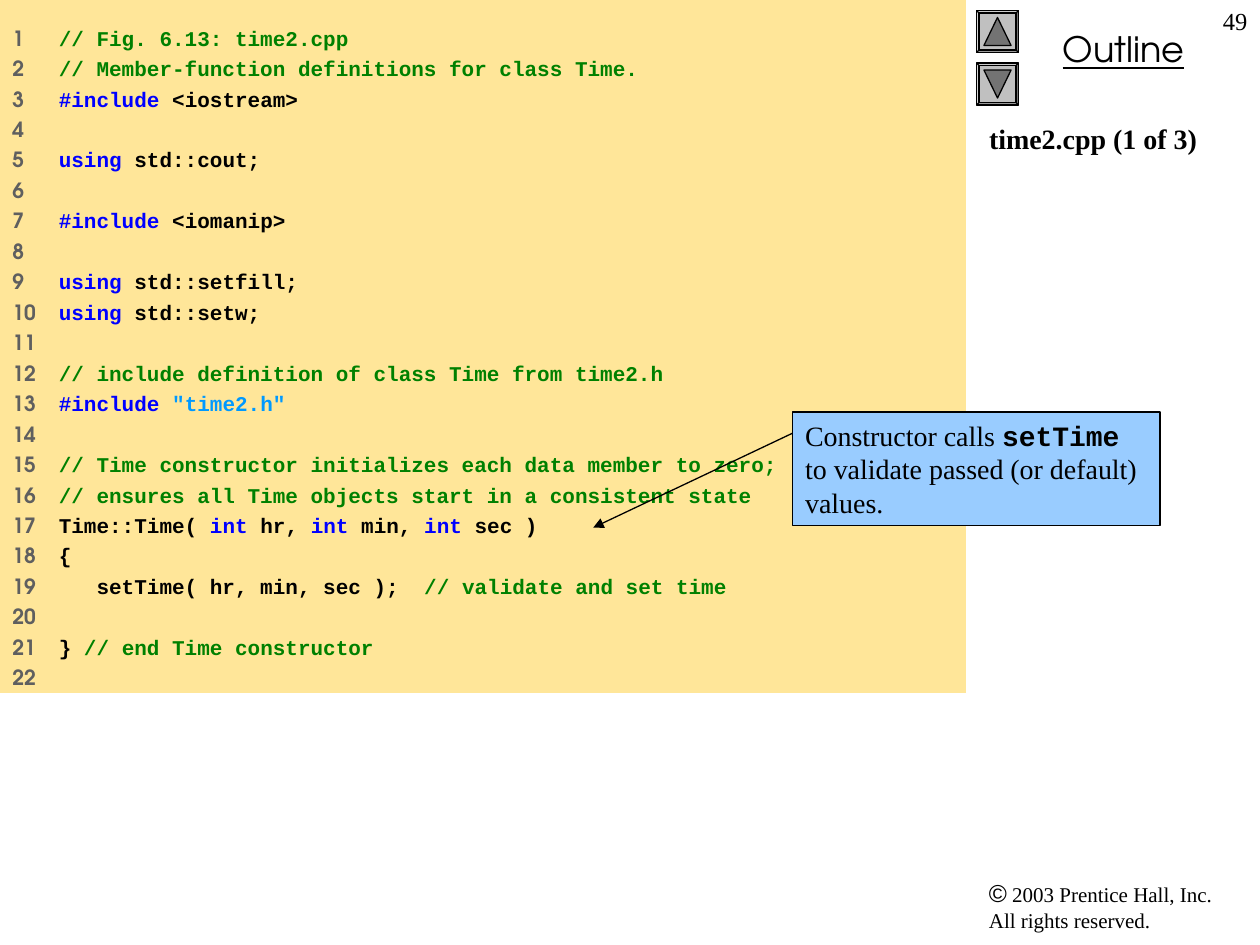
from lxml import etree
from pptx import Presentation
from pptx.dml.color import RGBColor
from pptx.enum.shapes import MSO_CONNECTOR, MSO_SHAPE
from pptx.enum.text import MSO_ANCHOR, MSO_AUTO_SIZE, PP_ALIGN
from pptx.oxml.ns import qn
from pptx.util import Pt

BLACK = RGBColor(0x00, 0x00, 0x00)
GRAY = RGBColor(0x5F, 0x5F, 0x5F)
GREEN = RGBColor(0x00, 0x80, 0x00)
BLUE = RGBColor(0x00, 0x00, 0xFF)
SKY = RGBColor(0x00, 0x99, 0xFF)
CODE_FILL = RGBColor(0xFF, 0xE6, 0x99)
NOTE_FILL = RGBColor(0x99, 0xCC, 0xFF)
BUTTON_FILL = RGBColor(0xC0, 0xC0, 0xC0)
ARROW_FILL = RGBColor(0x73, 0x73, 0x73)
SERIF, SANS, MONO = "Times New Roman", "TeX Gyre Adventor", "Courier New"

CODE = [
    [("// Fig. 6.13: time2.cpp", GREEN)],
    [("// Member-function definitions for class Time.", GREEN)],
    [("#include", BLUE), (" <iostream>", BLACK)],
    [],
    [("using", BLUE), (" std::cout;", BLACK)],
    [],
    [("#include", BLUE), (" <iomanip>", BLACK)],
    [],
    [("using", BLUE), (" std::setfill;", BLACK)],
    [("using", BLUE), (" std::setw;", BLACK)],
    [],
    [("// include definition of class Time from time2.h", GREEN)],
    [("#include ", BLUE), ('"time2.h"', SKY)],
    [],
    [("// Time constructor initializes each data member to zero;", GREEN)],
    [("// ensures all Time objects start in a consistent state", GREEN)],
    [("Time::Time( ", BLACK), ("int", BLUE), (" hr, ", BLACK), ("int", BLUE),
     (" min, ", BLACK), ("int", BLUE), (" sec )", BLACK)],
    [("{", BLACK)],
    [("   setTime( hr, min, sec );  ", BLACK), ("// validate and set time", GREEN)],
    [],
    [("} ", BLACK), ("// end Time constructor", GREEN)],
    [],
]


def add_run(p, text, size, font, color=BLACK, bold=False):
    r = p.add_run()
    r.text = text
    r.font.size = Pt(size)
    r.font.name = font
    r.font.color.rgb = color
    r.font.bold = bold
    return r


def set_frame(sp, align=PP_ALIGN.LEFT, inset=3.6):
    tf = sp.text_frame
    tf.word_wrap = True
    tf.auto_size = MSO_AUTO_SIZE.NONE
    tf.vertical_anchor = MSO_ANCHOR.TOP
    tf.margin_left = tf.margin_right = Pt(7.2)
    tf.margin_top = tf.margin_bottom = Pt(inset)
    tf.paragraphs[0].alignment = align
    return tf


prs = Presentation()
prs.slide_width, prs.slide_height = Pt(720), Pt(540)
s = prs.slides.add_slide(prs.slide_layouts[5])

title = s.shapes.title
title.left, title.top, title.width, title.height = Pt(558), Pt(66), Pt(162), Pt(378)
p = set_frame(title).paragraphs[0]
add_run(p, "time2.cpp (1 of 3)", 16, SERIF, bold=True)

credit = s.shapes.add_textbox(Pt(558), Pt(498), Pt(156), Pt(39))
p = set_frame(credit).paragraphs[0]
add_run(p, "©", 14, "Arial")
add_run(p, " 2003 Prentice Hall, Inc.", 12, SERIF)
p.add_line_break()
add_run(p, "All rights reserved.", 12, SERIF)

outline = s.shapes.add_textbox(Pt(564), Pt(12), Pt(156), Pt(32))
p = set_frame(outline, PP_ALIGN.CENTER).paragraphs[0]
add_run(p, "Outline", 20, SANS).font.underline = True

for top, arrow_top, rotation in ((6, 10, 0), (36, 40, 180)):
    button = s.shapes.add_shape(MSO_SHAPE.BEVEL, Pt(558), Pt(top), Pt(24), Pt(24))
    button.adjustments[0] = 0.06
    arrow = s.shapes.add_shape(MSO_SHAPE.ISOSCELES_TRIANGLE, Pt(562.25), Pt(arrow_top), Pt(15.5), Pt(16))
    arrow.rotation = rotation
    for sp, color in ((button, BUTTON_FILL), (arrow, ARROW_FILL)):
        sp.shadow.inherit = False
        sp.fill.solid()
        sp.fill.fore_color.rgb = color
        sp.line.color.rgb = BLACK
        sp.line.width = Pt(0.75)

listing = s.shapes.add_shape(MSO_SHAPE.RECTANGLE, 0, 0, Pt(552), Pt(396))
listing.shadow.inherit = False
listing.fill.solid()
listing.fill.fore_color.rgb = CODE_FILL
listing.line.fill.background()
tf = set_frame(listing, inset=14.4)
for number, parts in enumerate(CODE, 1):
    p = tf.paragraphs[0] if number == 1 else tf.add_paragraph()
    p.alignment = PP_ALIGN.LEFT
    if number > 1:
        p.space_before = Pt(3)
    tabs = etree.SubElement(p._p.get_or_add_pPr(), qn("a:tabLst"))
    etree.SubElement(tabs, qn("a:tab"), pos=str(Pt(26.5)), algn="l")
    add_run(p, f"{number}\t" if parts else str(number), 12, SANS, GRAY, True)
    for text, color in parts:
        add_run(p, text, 12, MONO, color, True)

note = s.shapes.add_shape(MSO_SHAPE.RECTANGLE, Pt(453), Pt(235.5), Pt(210), Pt(65))
note.shadow.inherit = False
note.fill.solid()
note.fill.fore_color.rgb = NOTE_FILL
note.line.color.rgb = BLACK
note.line.width = Pt(0.75)
p = set_frame(note).paragraphs[0]
add_run(p, "Constructor calls ", 16, SERIF)
add_run(p, "setTime ", 16, MONO, bold=True)
add_run(p, "to validate passed (or default) values.", 16, SERIF)

pointer = s.shapes.add_connector(MSO_CONNECTOR.STRAIGHT, Pt(453), Pt(247.5), Pt(339), Pt(301.5))
pointer.line.color.rgb = BLACK
pointer.line.width = Pt(0.75)
etree.SubElement(pointer.line._get_or_add_ln(), qn("a:tailEnd"), type="triangle")
etree.SubElement(pointer._element.spPr, qn("a:effectLst"))

page = s.shapes.add_textbox(Pt(684), 0, Pt(36), Pt(36))
p = set_frame(page, PP_ALIGN.RIGHT).paragraphs[0]
add_run(p, "49", 14, SERIF)

prs.save("out.pptx")
